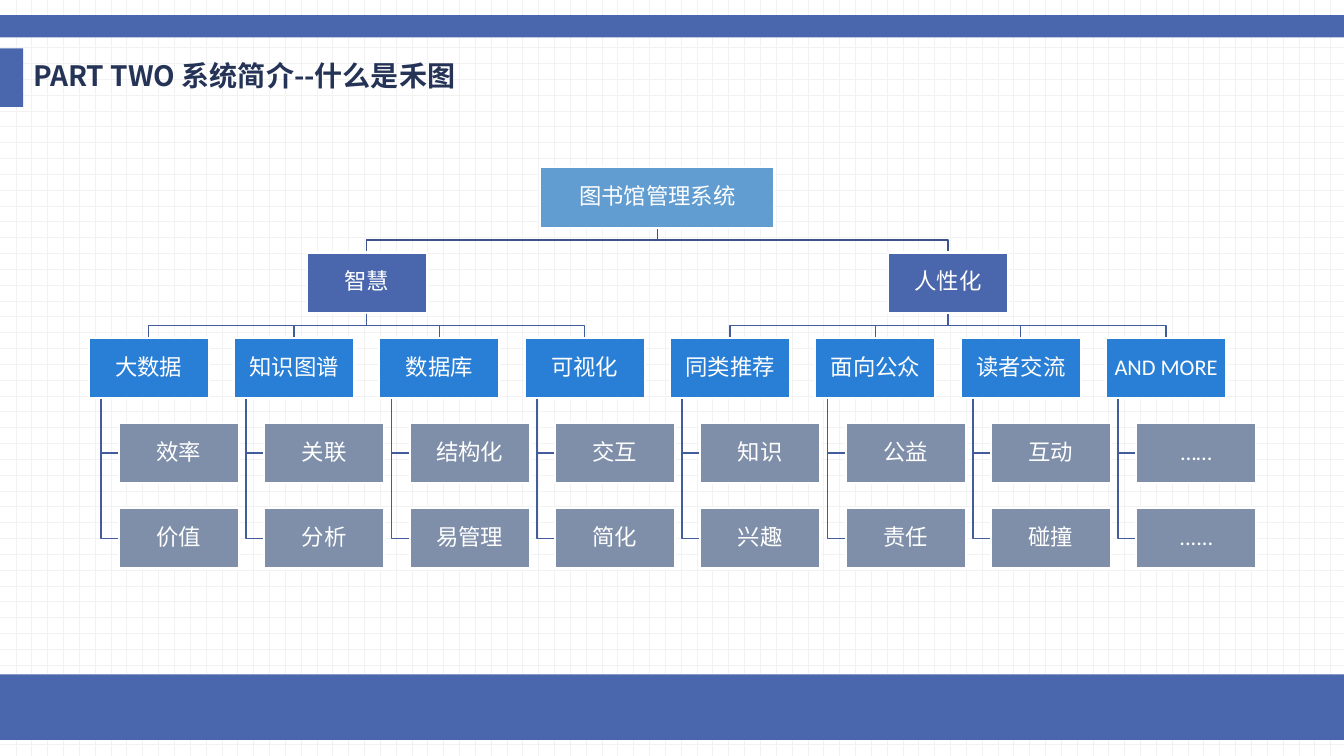
import dataclasses

import lxml.etree
import pptx
import pptx.dml.color
import pptx.enum.dml
import pptx.enum.shapes
import pptx.enum.text
import pptx.oxml.ns
import pptx.util

Inches = pptx.util.Inches


@dataclasses.dataclass(frozen=True)
class Theme:
    band: str = "4A66AC"
    title: str = "253356"
    root: str = "629DD1"
    branch: str = "4A66AC"
    topic: str = "297FD5"
    detail: str = "7F8FA9"
    white: str = "FFFFFF"
    grid: str = "F2F2F2"
    root_line: str = "3B528A"
    branch_line: str = "435D9C"
    latin: str = "Calibri"
    chinese: str = "Noto Sans CJK SC"
    title_size: int = 20
    box_size: int = 16
    box_border: float = 1.5
    link_width: int = 1


BRANCHES = {
    "智慧": {
        "大数据": ("效率", "价值"),
        "知识图谱": ("关联", "分析"),
        "数据库": ("结构化", "易管理"),
        "可视化": ("交互", "简化"),
    },
    "人性化": {
        "同类推荐": ("知识", "兴趣"),
        "面向公众": ("公益", "责任"),
        "读者交流": ("互动", "碰撞"),
        "AND MORE": ("……", "......"),
    },
}
BOX_WIDTH, BOX_HEIGHT, ROOT_WIDTH = 1.19, 0.6, 2.32
FIRST_LEFT, LAST_LEFT = 0.88, 10.97
TOP, BOTTOM = 1.66, 5.04
COLUMN_STEP = (LAST_LEFT - FIRST_LEFT) / 7
ROW_STEP = (BOTTOM - TOP) / 4
DETAIL_INDENT, TRUNK_INDENT = 0.3, 0.12


def row_top(row):
    return TOP + row * ROW_STEP


def column_center(column):
    return FIRST_LEFT + column * COLUMN_STEP + BOX_WIDTH / 2


def rgb(color):
    return pptx.dml.color.RGBColor.from_string(color)


def set_all(target, values):
    for name, value in values.items():
        setattr(target, name, value)


class SlideBuilder:
    def __init__(self, slide, theme):
        self.slide = slide
        self.theme = theme

    def background(self):
        fill = self.slide.background.fill
        fill.patterned()
        fill.pattern = pptx.enum.dml.MSO_PATTERN.DOTTED_GRID
        fill.fore_color.rgb = rgb(self.theme.grid)
        fill.back_color.rgb = rgb(self.theme.white)

    def rectangle(self, left, top, width, height, color):
        shape = self.slide.shapes.add_shape(
            pptx.enum.shapes.MSO_SHAPE.RECTANGLE,
            Inches(left), Inches(top), Inches(width), Inches(height))
        shape.shadow.inherit = False
        shape.fill.solid()
        shape.fill.fore_color.rgb = rgb(color)
        shape.line.fill.background()
        return shape

    def label(self, box, text, inset, align, color, font):
        frame = box.text_frame
        margins = ("margin_left", "margin_right", "margin_top", "margin_bottom")
        set_all(frame, dict.fromkeys(margins, Inches(inset)))
        set_all(frame, {"word_wrap": True,
                        "vertical_anchor": pptx.enum.text.MSO_ANCHOR.MIDDLE})
        para = frame.paragraphs[0]
        set_all(para, {"alignment": align, "line_spacing": 0.9})
        span = para.add_run()
        span.text = text
        set_all(span.font, font)
        span.font.color.rgb = rgb(color)
        east_asian = lxml.etree.SubElement(
            span.font._element, pptx.oxml.ns.qn("a:ea"))
        east_asian.set("typeface", self.theme.chinese)

    def title(self, text):
        box = self.slide.shapes.add_textbox(
            Inches(0.23), Inches(0.48), Inches(5.32), Inches(0.58))
        self.label(box, text, 0.1, pptx.enum.text.PP_ALIGN.LEFT, self.theme.title, {
            "name": self.theme.chinese, "bold": True,
            "size": pptx.util.Pt(self.theme.title_size)})

    def node(self, text, center, row, color, width=BOX_WIDTH):
        box = self.rectangle(center - width / 2, row_top(row), width, BOX_HEIGHT, color)
        box.line.color.rgb = rgb(self.theme.white)
        box.line.width = pptx.util.Pt(self.theme.box_border)
        self.label(box, text, 0.01, pptx.enum.text.PP_ALIGN.CENTER, self.theme.white, {
            "name": self.theme.latin,
            "size": pptx.util.Pt(self.theme.box_size)})

    def polyline(self, points, color):
        start, *rest = [(Inches(x), Inches(y)) for x, y in points]
        outline = self.slide.shapes.build_freeform(*start)
        outline.add_line_segments(rest, close=False)
        link = outline.convert_to_shape()
        link.shadow.inherit = False
        link.fill.background()
        link.line.color.rgb = rgb(color)
        link.line.width = pptx.util.Pt(self.theme.link_width)

    def fork(self, parent_center, child_center, parent_row, color):
        """Link a parent to a child one row down, turning halfway between."""
        start = row_top(parent_row) + BOX_HEIGHT
        end = row_top(parent_row + 1)
        middle = (start + end) / 2
        self.polyline([(parent_center, start), (parent_center, middle),
                       (child_center, middle), (child_center, end)], color)

    def hook(self, topic_center, detail_row):
        """Link a topic to a detail that hangs below it, indented."""
        left = topic_center - BOX_WIDTH / 2
        trunk = left + TRUNK_INDENT
        middle = row_top(detail_row) + BOX_HEIGHT / 2
        self.polyline([(trunk, row_top(2) + BOX_HEIGHT), (trunk, middle),
                       (left + DETAIL_INDENT, middle)], self.theme.branch_line)


def draw_tree(page):
    theme = page.theme
    root_center = column_center(3.5)
    nodes = [("图书馆管理系统", root_center, 0, theme.root, ROOT_WIDTH)]
    column = 0
    for branch, topics in BRANCHES.items():
        branch_center = column_center(column + (len(topics) - 1) / 2)
        page.fork(root_center, branch_center, 0, theme.root_line)
        nodes.append((branch, branch_center, 1, theme.branch))
        for topic, details in topics.items():
            center = column_center(column)
            page.fork(branch_center, center, 1, theme.branch_line)
            nodes.append((topic, center, 2, theme.topic))
            for row, detail in enumerate(details, start=3):
                page.hook(center, row)
                nodes.append((detail, center + DETAIL_INDENT, row, theme.detail))
            column += 1
    for node in nodes:
        page.node(*node)


def main():
    deck = pptx.Presentation()
    set_all(deck, {"slide_width": Inches(13.33), "slide_height": Inches(7.5)})
    page = SlideBuilder(deck.slides.add_slide(deck.slide_layouts[6]), Theme())
    page.background()
    for band in ((0, 6.69, 13.33, 0.65), (0, 0.15, 13.33, 0.22), (0, 0.48, 0.23, 0.58)):
        page.rectangle(*band, page.theme.band)
    page.title("PART TWO 系统简介--什么是禾图")
    draw_tree(page)
    deck.save("out.pptx")


if __name__ == "__main__":
    main()
